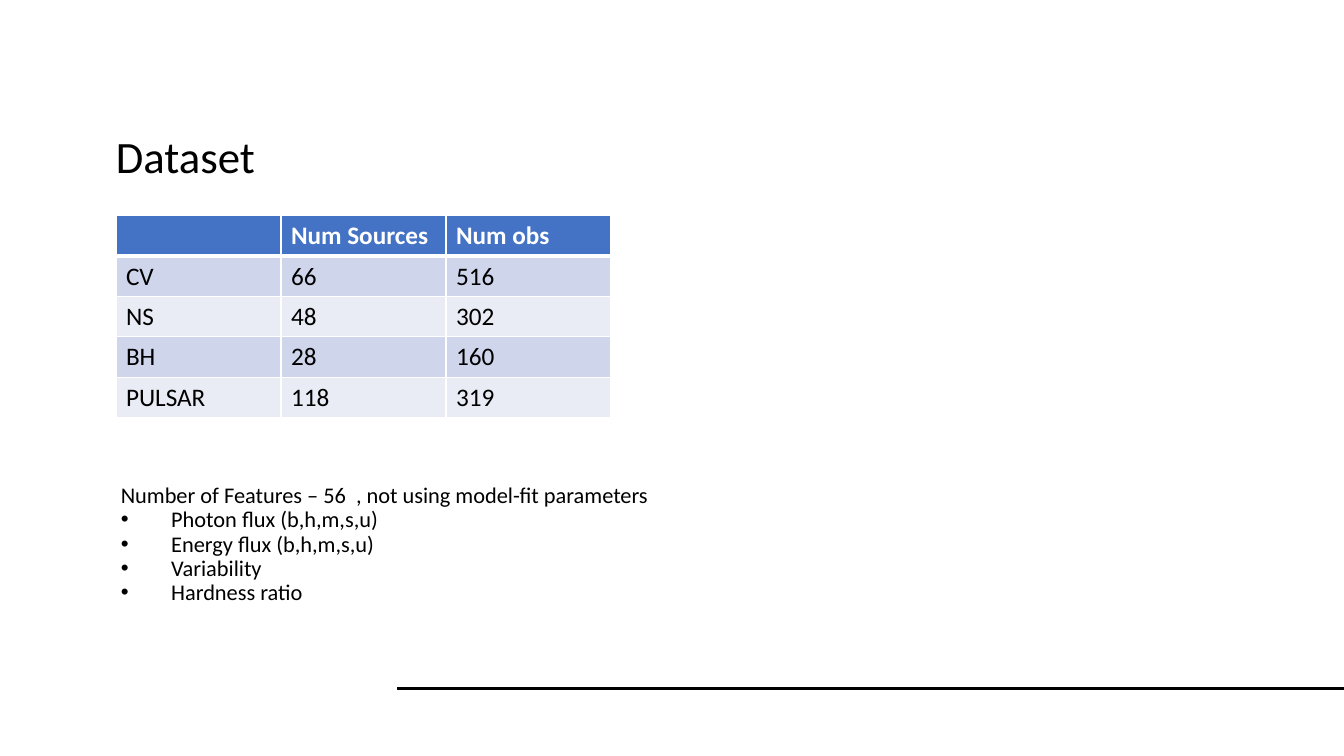
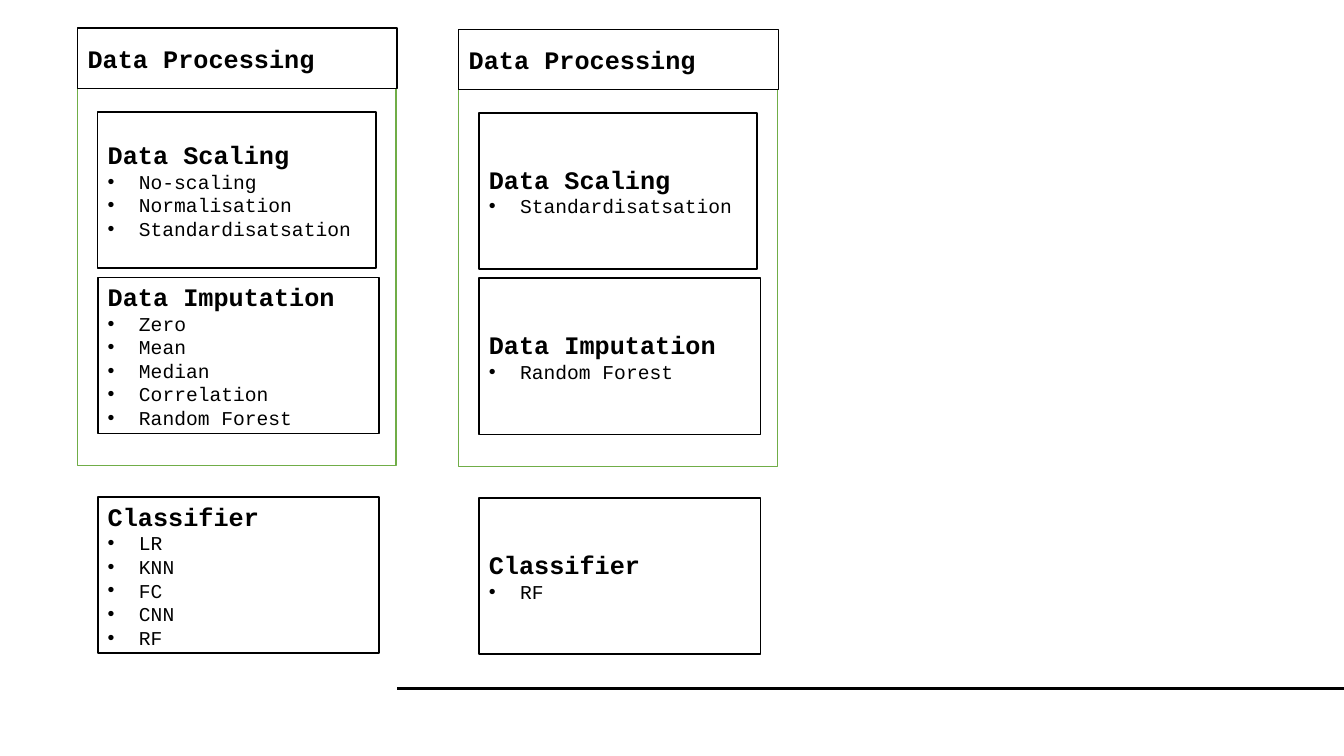
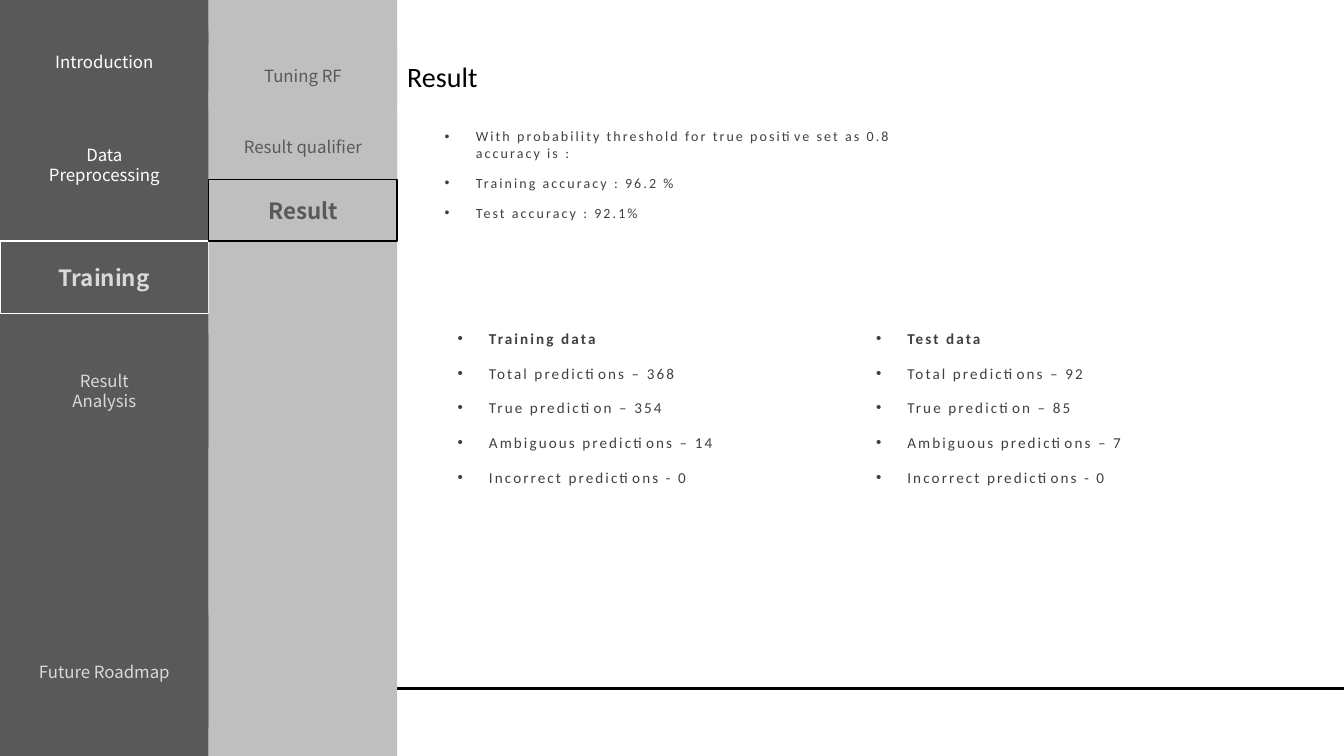
import pptx
import pptx.dml.color
import pptx.enum.shapes
import pptx.enum.text
import pptx.oxml
import pptx.oxml.ns
import pptx.util

Inches = pptx.util.Inches
Pt = pptx.util.Pt
ALIGN = pptx.enum.text.PP_ALIGN
ANCHOR = pptx.enum.text.MSO_ANCHOR
RECTANGLE = pptx.enum.shapes.MSO_SHAPE.RECTANGLE

COLORS = {
    "black": "000000", "white": "FFFFFF", "body": "404040", "green": "70AD47",
    "dark": "595959", "mid": "BFBFBF", "light": "D9D9D9",
    "header": "4472C4", "odd": "CFD5EA", "even": "E9EBF5",
}
RGB = {name: pptx.dml.color.RGBColor.from_string(code) for name, code in COLORS.items()}

NAV_FONT = "Noto Sans CJK JP"
TITLE = {"font": {"name": "Calibri", "size": Pt(32)}, "paragraph": {"line_spacing": 0.9}}
SUBTITLE = {**TITLE, "font": {"name": "Calibri", "size": Pt(20)}}
FEATURES = {**TITLE, "font": {"name": "Calibri", "size": Pt(16)}}
CELL = {"font": {"name": "Calibri", "size": Pt(18)}}
HEADER_CELL = {"font": {**CELL["font"], "bold": True}, "color": "white"}
BOX_HEAD = {"font": {"name": "Courier New", "size": Pt(18), "bold": True},
            "paragraph": {"alignment": ALIGN.LEFT}}
BOX_ITEM = {**BOX_HEAD, "font": {"name": "Courier New", "size": Pt(14)}, "indent": 0.31}
NAV = {"font": {"name": NAV_FONT, "size": Pt(12)}, "paragraph": {"alignment": ALIGN.CENTER}}
NAV_CURRENT = {**NAV, "font": {"name": NAV_FONT, "size": Pt(16), "bold": True}}
ACCURACY = {"font": {"name": "Calibri", "size": Pt(10)}, "color": "body", "tracking": 150,
            "indent": 0.31, "paragraph": {"space_before": Pt(9.3)}}
COUNTS = {**ACCURACY, "font": {"name": "Calibri", "size": Pt(10.8)},
          "paragraph": {"space_before": Pt(9.3), "line_spacing": 1.2}}
COUNTS_HEAD = {**COUNTS, "font": {**COUNTS["font"], "bold": True}}
BODY_INSETS = {"margin_left": Inches(0.12), "margin_top": Inches(0.12),
               "margin_right": Inches(0.12), "margin_bottom": Inches(0.1)}


def write(frame, lines, style):
    """Append one paragraph per line; a style with an indent gives bullets."""
    for line in lines:
        paragraph = frame.paragraphs[-1]
        if paragraph.runs:
            paragraph = frame.add_paragraph()
        for name, value in style.get("paragraph", {}).items():
            setattr(paragraph, name, value)
        if "indent" in style:
            properties = paragraph._p.get_or_add_pPr()
            properties.set("marL", str(Inches(style["indent"])))
            properties.set("indent", str(-Inches(style["indent"])))
            for tag, attribute, value in (("buFont", "typeface", "Arial"), ("buChar", "char", "•")):
                bullet = pptx.oxml.parse_xml(
                    f'<a:{tag} {pptx.oxml.ns.nsdecls("a")} {attribute}="{value}"/>')
                properties.append(bullet)
        run = paragraph.add_run()
        run.text = line
        for name, value in style["font"].items():
            setattr(run.font, name, value)
        run.font.color.rgb = RGB[style.get("color", "black")]
        if "tracking" in style:
            run._r.get_or_add_rPr().set("spc", str(style["tracking"]))


def add_block(slide, at, fill=None, line=None, anchor=ANCHOR.MIDDLE, insets=None):
    """Add a rectangle, or a text box if it has no fill or line, and return its text frame."""
    at = [Inches(length) for length in at]
    if fill or line:
        block = slide.shapes.add_shape(RECTANGLE, *at)
        block.shadow.inherit = False
        if fill:
            block.fill.solid()
            block.fill.fore_color.rgb = RGB[fill]
        else:
            block.fill.background()
        if line:
            block.line.color.rgb = RGB[line]
            block.line.width = Pt(1)
        else:
            block.line.fill.background()
    else:
        block = slide.shapes.add_textbox(*at)
    frame = block.text_frame
    frame.word_wrap = True
    frame.vertical_anchor = anchor
    for name, value in (insets or {}).items():
        setattr(frame, name, value)
    return frame


deck = pptx.Presentation()
deck.slide_width, deck.slide_height = Inches(13.33), Inches(7.5)
slides = [deck.slides.add_slide(deck.slide_layouts[6]) for _ in range(3)]
dataset, pipeline, result = slides

# Footer rule on every slide
for slide in slides:
    rule = slide.shapes.add_connector(
        pptx.enum.shapes.MSO_CONNECTOR.STRAIGHT,
        Inches(3.94), Inches(6.83), Inches(13.33), Inches(6.83))
    rule.line.color.rgb = RGB["black"]
    rule.line.width = Pt(1.5)
    rule._element.spPr.append(
        pptx.oxml.parse_xml(f'<a:effectLst {pptx.oxml.ns.nsdecls("a")}/>'))

# Dataset
write(add_block(dataset, (1.05, 1.22, 3.88, 0.71)), ["Dataset"], TITLE)
features = add_block(dataset, (1.1, 4.66, 5.66, 1.98), insets={"margin_bottom": Inches(0.54)})
write(features, ["Number of Features – 56  , not using model-fit parameters"], FEATURES)
write(features, ["Photon flux (b,h,m,s,u)", "Energy flux (b,h,m,s,u)", "Variability",
                 "Hardness ratio"], {**FEATURES, "indent": 0.5})

source_rows = [
    ("", "Num Sources", "Num obs"),
    ("CV", "66", "516"),
    ("NS", "48", "302"),
    ("BH", "28", "160"),
    ("PULSAR", "118", "319"),
]
sources = dataset.shapes.add_table(
    len(source_rows), 3, Inches(1.15), Inches(2.14), Inches(4.91), Inches(2)).table
for row_index, row in enumerate(source_rows):
    for column_index, value in enumerate(row):
        cell = sources.cell(row_index, column_index)
        if value:
            write(cell.text_frame, [value], CELL if row_index else HEADER_CELL)
        for side in "LRTB":
            thick = (row_index, side) in ((0, "B"), (1, "T"))
            cell._tc.get_or_add_tcPr().append(pptx.oxml.parse_xml(
                f'<a:ln{side} {pptx.oxml.ns.nsdecls("a")} w="{Pt(3 if thick else 1)}">'
                f'<a:solidFill><a:srgbClr val="{COLORS["white"]}"/></a:solidFill></a:ln{side}>'))
        cell.fill.solid()
        cell.fill.fore_color.rgb = RGB[("odd" if row_index % 2 else "even") if row_index else "header"]

# Pipeline: every option tried, then the ones chosen
tried = [
    ("Data Scaling", ["No-scaling", "Normalisation", "Standardisatsation"]),
    ("Data Imputation", ["Zero", "Mean", "Median", "Correlation", "Random Forest"]),
    ("Classifier", ["LR", "KNN", "FC", "CNN", "RF"]),
]
chosen = [(step, options[-1:]) for step, options in tried]
step_places = [(1.11, 2.76), (2.75, 2.79), (4.93, 2.79)]
for left, drop, steps in ((0.77, 0, tried), (4.55, 0.01, chosen)):
    for (step, options), (top, width) in zip(steps, step_places):
        step_box = add_block(pipeline, (left + 0.2, top + drop, width, 1.55), line="black")
        write(step_box, [step], BOX_HEAD)
        write(step_box, options, BOX_ITEM)
    add_block(pipeline, (left, 0.88 + drop, 3.16, 3.74), line="green")
    heading = add_block(pipeline, (left, 0.28 + drop, 3.17, 0.6), line="black")
    write(heading, ["Data Processing"], BOX_HEAD)

# Result: two navigation columns with the current entry outlined
navigation = [
    (0, 2.07, "dark", "white", [
        (0.31, 0.61, ["Introduction"], "white", False),
        (1.15, 0.97, ["Data", "Preprocessing"], "white", False),
        (2.39, 0.72, ["Training"], "light", True),
        (3.32, 1.12, ["Result", "Analysis"], "light", False),
        (6.1, 1.12, ["Future Roadmap"], "light", False),
    ]),
    (2.07, 1.87, "mid", "black", [
        (0.45, 0.61, ["Tuning RF"], "dark", False),
        (1.15, 0.62, ["Result qualifier"], "dark", False),
        (1.78, 0.61, ["Result"], "dark", True),
    ]),
]
for left, width, fill, outline, entries in navigation:
    add_block(result, (left, 0, width, 7.5), fill)
    for top, height, lines, color, current in entries:
        entry = add_block(result, (left, top, width, height), fill, outline if current else None)
        write(entry, lines, {**(NAV_CURRENT if current else NAV), "color": color})

write(add_block(result, (3.94, 0.48, 7.75, 0.59)), ["Result"], SUBTITLE)
accuracy = add_block(result, (4.29, 1.15, 4.85, 0.97), anchor=ANCHOR.TOP, insets=BODY_INSETS)
write(accuracy, ["With probability threshold for true positive set as 0.8 accuracy is :",
                 "Training accuracy : 96.2 %", "Test accuracy : 92.1%"], ACCURACY)

for left, name, total, true, ambiguous in ((4.42, "Training data", 368, 354, 14),
                                           (8.57, "Test data", 92, 85, 7)):
    counts = add_block(result, (left, 3.11, 3.93, 1.83), anchor=ANCHOR.TOP, insets=BODY_INSETS)
    write(counts, [name], COUNTS_HEAD)
    write(counts, [f"Total predictions – {total}", f"True prediction – {true}",
                   f"Ambiguous predictions – {ambiguous}", "Incorrect predictions - 0"], COUNTS)

deck.save("out.pptx")
